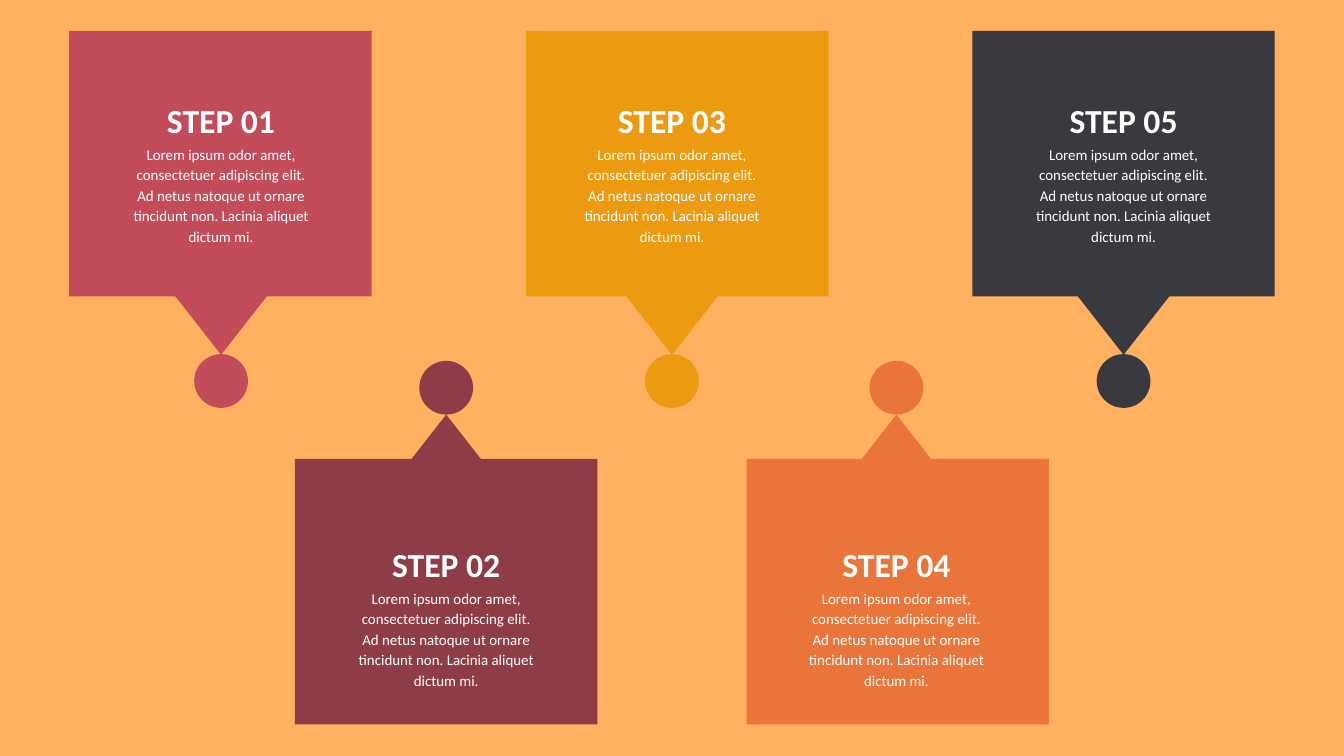
from pptx import Presentation
from pptx import util as u
from pptx.dml.color import RGBColor
from pptx.enum import shapes, text

FONT = "Calibri"
WHITE = "FFFFFF"
BODY = ("Lorem ipsum odor amet, consectetuer adipiscing elit. "
        "Ad netus natoque ut ornare tincidunt non. Lacinia aliquet dictum mi.")

# Centre of the step, left edge of its card, colour
STEPS = [
    (3.29, 1.03, "C24C5A"),
    (6.64, 4.39, "8E3D47"),
    (10.0, 7.83, "EC9A10"),
    (13.34, 11.11, "EA753B"),
    (16.72, 14.47, "393A3F"),
]
DOT = 0.8
CARD_W, CARD_H = 4.5, 3.95
TIP_W, TIP_H = 3.38, 2.16


def paint(fill, color):
    fill.solid()
    fill.fore_color.rgb = RGBColor.from_string(color)


def add_form(slide, kind, left, top, width, height, color):
    form = slide.shapes.add_shape(
        kind, u.Inches(left), u.Inches(top), u.Inches(width), u.Inches(height))
    form.shadow.inherit = False
    paint(form.fill, color)
    form.line.fill.background()
    return form


def add_text(slide, words, mid, top, width, height, size, bold=False):
    box = slide.shapes.add_textbox(
        u.Inches(mid - width / 2), u.Inches(top), u.Inches(width), u.Inches(height))
    frame = box.text_frame
    frame.word_wrap = True
    frame.auto_size = text.MSO_AUTO_SIZE.SHAPE_TO_FIT_TEXT
    frame.margin_left = frame.margin_right = 0
    frame.margin_top = frame.margin_bottom = 0
    para = frame.paragraphs[0]
    para.text = words
    para.alignment = text.PP_ALIGN.CENTER
    para.line_spacing = 1.15
    font = para.font
    font.name, font.size, font.bold = FONT, u.Pt(size), bold
    font.color.rgb = RGBColor.from_string(WHITE)


def add_step(slide, num, mid, left, color):
    # Odd steps hang above the middle and point down, even ones point up
    down = num % 2 == 1
    dot_top, card_top, tip_top, head_top = (
        (5.27, 0.46, 3.12, 1.39) if down else (5.37, 6.83, 6.17, 8.0))
    kind = shapes.MSO_SHAPE

    # Dot, card and pointer
    add_form(slide, kind.OVAL, mid - DOT / 2, dot_top, DOT, DOT, color)
    add_form(slide, kind.RECTANGLE, left, card_top, CARD_W, CARD_H, color)
    tip = add_form(slide, kind.ISOSCELES_TRIANGLE,
                   mid - TIP_W / 2, tip_top, TIP_W, TIP_H, color)
    tip.rotation = 180 if down else 0

    # Heading and body
    add_text(slide, f"STEP {num:02}", mid, head_top, 3.06, 0.61, 36, True)
    add_text(slide, BODY, mid, head_top + 0.73, 2.66, 1.51, 16)


def main():
    deck = Presentation()
    deck.slide_width, deck.slide_height = u.Inches(20), u.Inches(11.25)
    slide = deck.slides.add_slide(deck.slide_layouts[6])
    paint(slide.background.fill, "FFB160")
    for num, (mid, left, color) in enumerate(STEPS, 1):
        add_step(slide, num, mid, left, color)
    deck.save("out.pptx")


if __name__ == "__main__":
    main()
